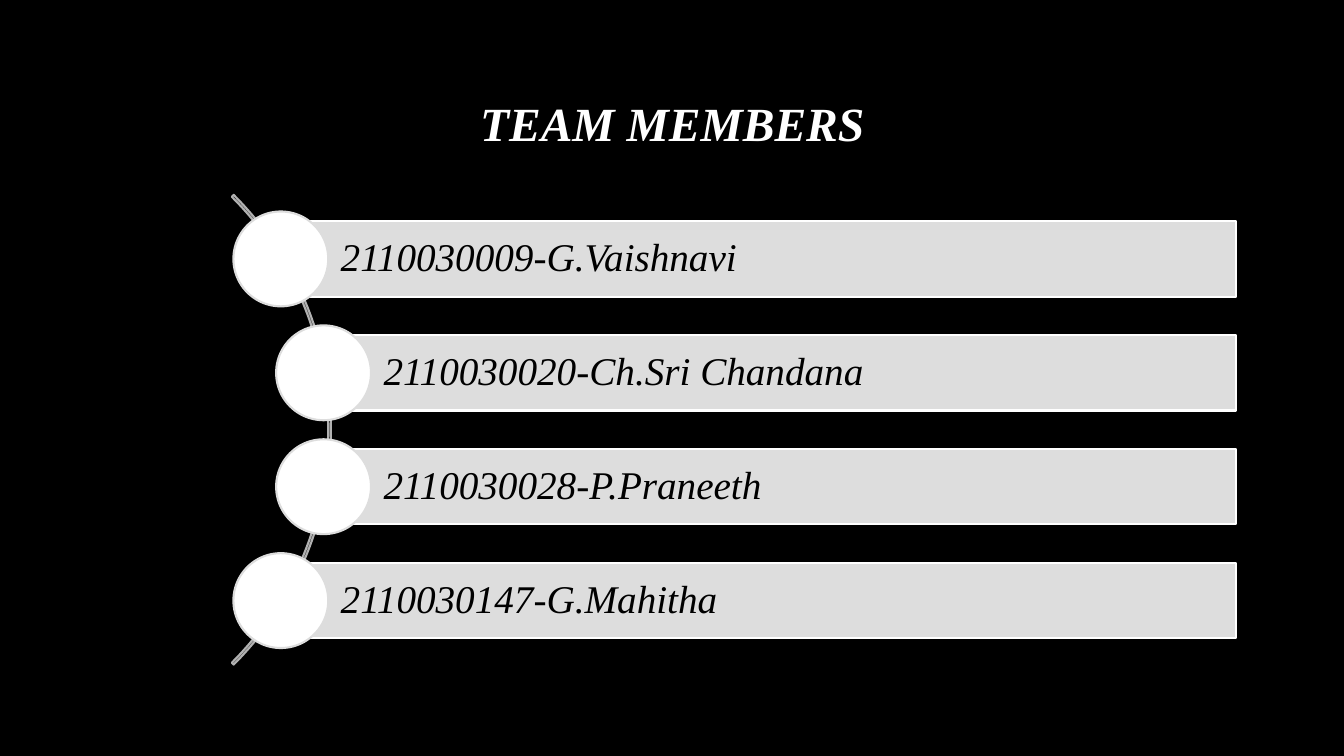
from math import sqrt
from pptx import Presentation
from pptx.dml.color import RGBColor
from pptx.enum.shapes import MSO_SHAPE
from pptx.enum.text import MSO_ANCHOR, PP_ALIGN
from pptx.util import Cm, Pt

COLORS = {"back": "000000", "title": "FFFFFF", "bar": "DDDDDD",
          "edge": "FFFFFF", "dot": "FFFFFF", "arc": "B1B1B1", "text": "000000"}
FONT = "Times New Roman"
MEMBERS = ["2110030009-G.Vaishnavi", "2110030020-Ch.Sri Chandana",
           "2110030028-P.Praneeth", "2110030147-G.Mahitha"]


def color(key):
    """Return the named colour."""
    return RGBColor.from_string(COLORS[key])


def set_text(tf, text, align, key, margins, **font):
    """Write one styled, vertically centred paragraph into a text frame."""
    frame = {"word_wrap": True, "vertical_anchor": MSO_ANCHOR.MIDDLE}
    for side, value in zip(("left", "top", "right", "bottom"), margins):
        frame[f"margin_{side}"] = Cm(value)
    p = tf.paragraphs[0]
    r = p.add_run()
    r.text = text
    r.font.color.rgb = color(key)
    formats = ((tf, frame), (p, {"alignment": align, "line_spacing": 0.9}),
               (r.font, {"name": FONT, "italic": True, **font}))
    for target, values in formats:
        for name, value in values.items():
            setattr(target, name, value)


def add_outlined(s, kind, box, line, fill=None):
    """Add a preset shape with a thin outline and an optional fill."""
    sp = s.shapes.add_shape(kind, *map(Cm, box))
    sp.shadow.inherit = False
    sp.line.color.rgb = color(line)
    sp.line.width = Pt(1.5)
    if fill:
        sp.fill.solid()
        sp.fill.fore_color.rgb = color(fill)
    else:
        sp.fill.background()
    return sp


def add_title(s, box, text):
    """Place the centred heading in its box."""
    tf = s.shapes.add_textbox(*map(Cm, box)).text_frame
    set_text(tf, text, PP_ALIGN.CENTER, "title", (0.25, 0.13, 0.25, 0.13),
             size=Pt(34), bold=True)


def add_member_list(s, box, members):
    """Place one bar and dot per member along an arc at the left of the box."""
    left, top, width, height = box
    dot, bar, arc, orbit = 2.39, 1.9, 16.74, 8.31
    hub_x, hub_y = left - 5.88, top + height / 2
    pitch = (height - dot) / (len(members) - 1)

    sp = add_outlined(s, MSO_SHAPE.BLOCK_ARC,
                      (hub_x - arc / 2, hub_y - arc / 2, arc, arc), "arc")
    for i, value in enumerate((189, 27, 0.004)):
        sp.adjustments[i] = value

    for i, member in enumerate(members):
        y = top + dot / 2 + i * pitch
        x = hub_x + sqrt(orbit ** 2 - (y - hub_y) ** 2)
        sp = add_outlined(s, MSO_SHAPE.RECTANGLE,
                          (x, y - bar / 2, left + width - x, bar), "edge", "bar")
        set_text(sp.text_frame, member, PP_ALIGN.LEFT, "text",
                 (1.51, 0.2, 0.2, 0.2), size=Pt(28))
        add_outlined(s, MSO_SHAPE.OVAL,
                     (x - dot / 2, y - dot / 2, dot, dot), "bar", "dot")


def main():
    """Build the team slide and save it."""
    prs = Presentation()
    prs.slide_width, prs.slide_height = Cm(33.87), Cm(19.05)
    s = prs.slides.add_slide(prs.slide_layouts[6])
    s.background.fill.solid()
    s.background.fill.fore_color.rgb = color("back")
    add_title(s, (2.57, 1.35, 28.75, 3.68), "TEAM MEMBERS")
    add_member_list(s, (5.85, 5.33, 25.3, 11), MEMBERS)
    prs.save("out.pptx")


if __name__ == "__main__":
    main()
